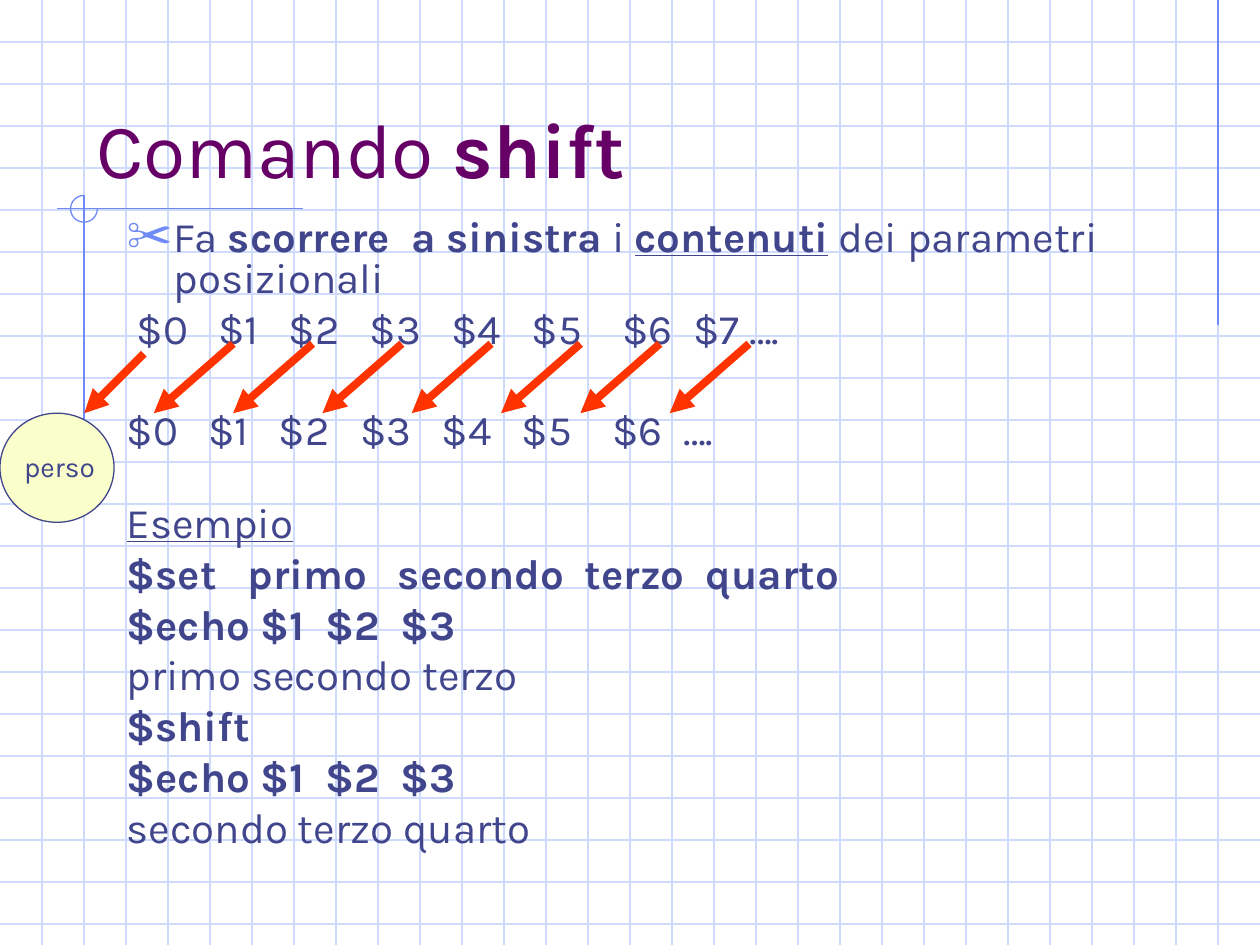
import dataclasses

import lxml.etree
import pptx
import pptx.dml.color
import pptx.enum.shapes
import pptx.enum.text
import pptx.oxml.ns
import pptx.util

Cm = pptx.util.Cm
Pt = pptx.util.Pt
RGBColor = pptx.dml.color.RGBColor

GRID_COLOR = RGBColor(0xCF, 0xDB, 0xFD)
ACCENT_COLOR = RGBColor(0x6F, 0x89, 0xF7)
TITLE_COLOR = RGBColor(0x66, 0x00, 0x66)
TEXT_COLOR = RGBColor(0x40, 0x45, 0x8C)
ARROW_COLOR = RGBColor(0xFF, 0x33, 0x00)
CIRCLE_COLOR = RGBColor(0xF9, 0xFE, 0xCA)
FONT_NAME = "Karla"
GRID_STEP = 25.4 / 30
SPACE_WIDTH = 5.8
BULLET_INDENT = 0.95
SHIFT_INDENT = 0.2

BOLD = {"bold": True}
UNDERLINE = {"underline": True}


def spaced_words(text, gaps, values):
    words = text.split()
    runs = [(words[0], values, 0)]
    for word, gap in zip(words[1:], gaps):
        runs.append((" ", values, (gap - 1) * SPACE_WIDTH))
        runs.append((word, values, 0))
    return runs


ECHO_LINE = (spaced_words("$echo $1 $2 $3", (1, 2, 2), BOLD), 6, 0)

BODY_PARAGRAPHS = [
    ([("Fa ", {}, 0), ("scorrere  a sinistra", BOLD, 0), (" i ", {}, 0),
      ("contenuti", BOLD | UNDERLINE, 0), (" dei parametri posizionali", {}, 0)],
     0, BULLET_INDENT),
    (spaced_words("$0 $1 $2 $3 $4 $5 $6 $7 ….", (3, 3, 3, 3, 3, 4, 2, 1), {}),
     6, SHIFT_INDENT),
    (spaced_words("$0 $1 $2 $3 $4 $5 $6 ….", (3, 3, 3, 3, 3, 4, 2), {}), 35, 0),
    ([("Esempio", UNDERLINE, 0)], 30, 0),
    (spaced_words("$set primo secondo terzo quarto", (3, 3, 2, 2), BOLD), 6, 0),
    ECHO_LINE,
    ([("primo secondo terzo", {}, 0)], 6, 0),
    ([("$shift", BOLD, 0)], 6, 0),
    ECHO_LINE,
    ([("secondo terzo quarto", {}, 0)], 6, 0),
]


@dataclasses.dataclass
class Box:
    left: float
    top: float
    width: float
    height: float

    def lengths(self):
        return [Cm(value) for value in dataclasses.astuple(self)]


def set_values(target, values):
    for name, value in values.items():
        setattr(target, name, value)


def add_element(parent, tag, **attributes):
    return lxml.etree.SubElement(parent, pptx.oxml.ns.qn(tag), attributes)


def add_run(paragraph, text, size, color, values, spacing=0):
    run = paragraph.add_run()
    run.text = text
    set_values(run.font, {"name": FONT_NAME, "size": Pt(size), "bold": False} | values)
    run.font.color.rgb = color
    if spacing:
        run._r.get_or_add_rPr().set("spc", str(round(spacing * 100)))


def add_line(shapes, start, end, color, width=0.75, arrow=False):
    connector = shapes.add_connector(
        pptx.enum.shapes.MSO_CONNECTOR.STRAIGHT,
        *(Cm(value) for value in (*start, *end)))
    connector.line.width = Pt(width)
    connector.line.color.rgb = color
    properties = connector.element.spPr
    if arrow:
        add_element(properties.get_or_add_ln(), "a:tailEnd", type="triangle")
    add_element(properties, "a:effectLst")


def add_background(slide, box):
    group = slide.shapes.add_group_shape()
    right, bottom = box.left + box.width, box.top + box.height
    for row in range(1, 23):
        y = box.top + row * GRID_STEP
        add_line(group.shapes, (box.left, y), (right, y), GRID_COLOR)
    for column in range(1, 30):
        x = box.left + column * GRID_STEP
        add_line(group.shapes, (x, box.top), (x, bottom), GRID_COLOR)

    margin_right = right - GRID_STEP
    margin_left = box.left + 2 * GRID_STEP
    rule_top = box.top + 4.21
    add_line(group.shapes, (margin_right, box.top), (margin_right, box.top + 6.55), ACCENT_COLOR)
    add_line(group.shapes, (box.left + 6.1, rule_top), (box.left + 1.14, rule_top), ACCENT_COLOR)
    add_line(group.shapes, (margin_left, box.top + 3.94), (margin_left, box.top + 10.39), ACCENT_COLOR)

    radius = 0.27
    arc_box = Box(margin_left - radius, rule_top - radius, 2 * radius, 2 * radius)
    arc = group.shapes.add_shape(pptx.enum.shapes.MSO_SHAPE.ARC, *arc_box.lengths())
    arc.adjustments[0] = 0
    arc.adjustments[1] = 162
    arc.shadow.inherit = False
    arc.fill.background()
    arc.line.color.rgb = ACCENT_COLOR
    arc.line.width = Pt(0.75)
    group.element.getparent().insert(2, group.element)


def place_placeholder(shape, box, anchor):
    set_values(shape, dict(zip(("left", "top", "width", "height"), box.lengths())))
    set_values(shape.text_frame, {
        "vertical_anchor": anchor,
        "auto_size": pptx.enum.text.MSO_AUTO_SIZE.NONE,
        "word_wrap": True,
    })


def fill_title(shape, box):
    place_placeholder(shape, box, pptx.enum.text.MSO_ANCHOR.BOTTOM)
    paragraph = shape.text_frame.paragraphs[0]
    paragraph.alignment = pptx.enum.text.PP_ALIGN.LEFT
    add_run(paragraph, "Comando ", 44, TITLE_COLOR, {})
    add_run(paragraph, "shift", 44, TITLE_COLOR, BOLD)


def format_list_paragraph(paragraph, has_bullet, indent):
    properties = paragraph._p.get_or_add_pPr()
    properties.set("marL", str(Cm(indent)))
    properties.set("indent", str(-Cm(indent) if has_bullet else 0))
    if has_bullet:
        bullet_color = add_element(properties, "a:buClr")
        add_element(bullet_color, "a:srgbClr", val=str(ACCENT_COLOR))
        add_element(properties, "a:buSzPct", val="110000")
        add_element(properties, "a:buChar", char="✂")
    else:
        add_element(properties, "a:buNone")


def fill_body(shape, box):
    place_placeholder(shape, box, pptx.enum.text.MSO_ANCHOR.TOP)
    frame = shape.text_frame
    for index, (runs, space_before, indent) in enumerate(BODY_PARAGRAPHS):
        paragraph = frame.add_paragraph() if index else frame.paragraphs[0]
        format_list_paragraph(paragraph, index == 0, indent)
        set_values(paragraph, {"line_spacing": 0.8, "space_before": Pt(space_before)})
        for text, values, spacing in runs:
            add_run(paragraph, text, 24, TEXT_COLOR, values, spacing)


def add_shift_arrows(slide, box):
    bottom = box.top + box.height
    add_line(slide.shapes, (box.left + 1.2, box.top + 0.2), (box.left, bottom),
             ARROW_COLOR, 4.5, True)
    for offset in (3, 4.6, 6.4, 8.2, 10, 11.6, 13.4):
        start = box.left + offset
        add_line(slide.shapes, (start, box.top), (start - 1.6, bottom),
                 ARROW_COLOR, 4.5, True)


def add_lost_value(slide, box):
    circle = slide.shapes.add_shape(pptx.enum.shapes.MSO_SHAPE.OVAL, *box.lengths())
    circle.shadow.inherit = False
    circle.fill.solid()
    circle.fill.fore_color.rgb = CIRCLE_COLOR
    circle.line.color.rgb = TEXT_COLOR
    circle.line.width = Pt(0.75)
    label_box = Box(box.left - 0.3, box.top + 0.6, 3, 0.94)
    label = slide.shapes.add_textbox(*label_box.lengths())
    label.text_frame.word_wrap = True
    paragraph = label.text_frame.paragraphs[0]
    paragraph.alignment = pptx.enum.text.PP_ALIGN.CENTER
    add_run(paragraph, "perso", 16, TEXT_COLOR, {})


def main():
    presentation = pptx.Presentation()
    set_values(presentation, {"slide_width": Cm(25.4), "slide_height": Cm(19.05)})
    slide = presentation.slides.add_slide(presentation.slide_layouts[1])
    add_background(slide, Box(0, 0, 25.4, 19.05))
    fill_title(slide.shapes.title, Box(1.69, 0.85, 21.59, 3.18))
    fill_body(slide.placeholders[1], Box(2.3, 4.32, 21.59, 14.73))
    add_shift_arrows(slide, Box(1.7, 6.93, 13.4, 1.4))
    add_lost_value(slide, Box(0, 8.33, 2.3, 2.2))
    presentation.save("out.pptx")


if __name__ == "__main__":
    main()
